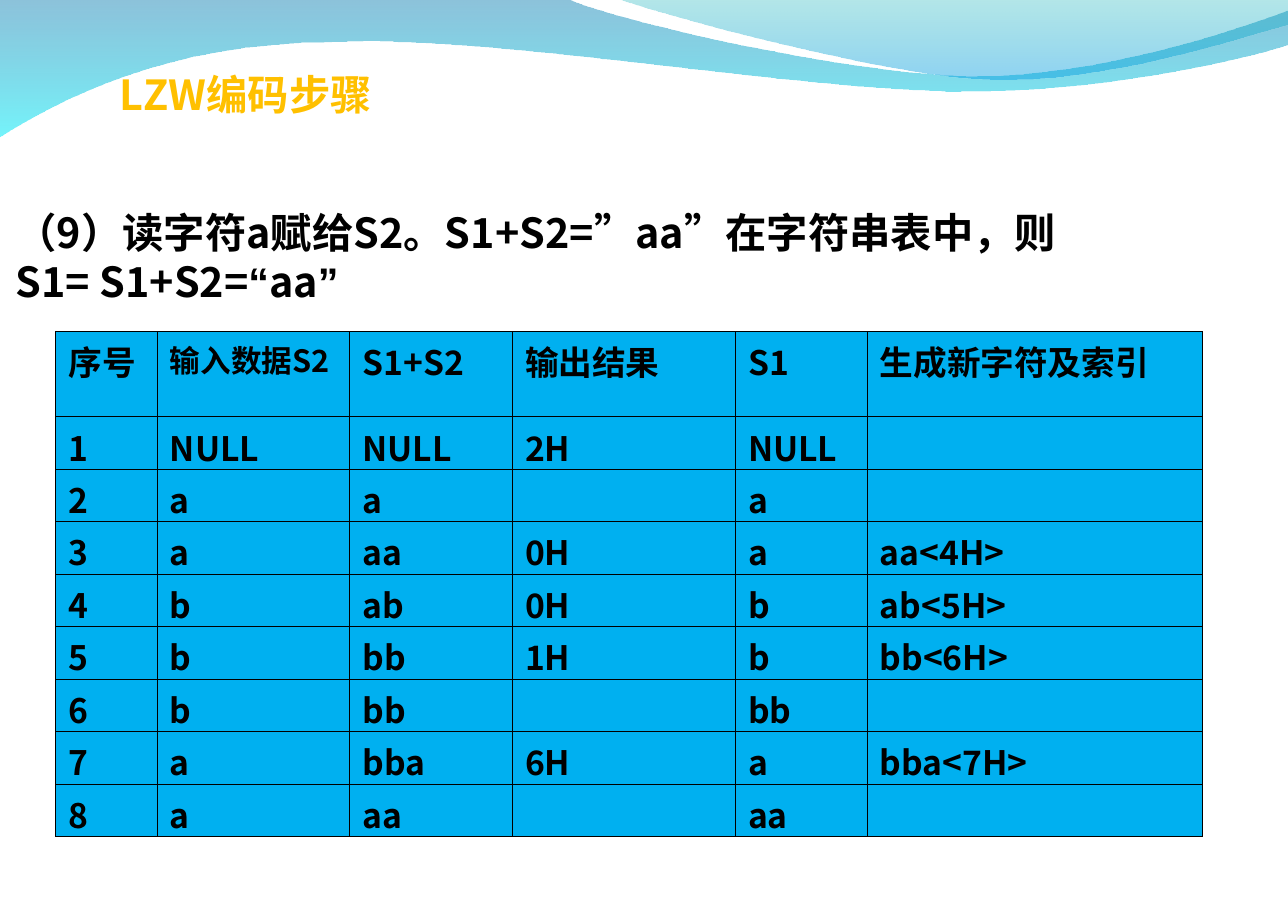
from dataclasses import dataclass

from lxml.etree import Element, SubElement
from pptx import Presentation
from pptx.dml.color import RGBColor
from pptx.enum.text import MSO_ANCHOR
from pptx.oxml.ns import qn
from pptx.util import Cm, Pt

FONT = "Noto Sans CJK SC"
QUOTE_FONT = "Arial"
BLACK = RGBColor(0x00, 0x00, 0x00)
GOLD = RGBColor(0xFF, 0xC0, 0x00)
SKY = RGBColor(0x00, 0xB0, 0xF0)
DEEP_BLUE = RGBColor(0x00, 0x79, 0xAF)
CYAN = RGBColor(0x00, 0xEB, 0xF8)
TEAL = RGBColor(0x00, 0xAD, 0xB6)
AZURE = RGBColor(0x00, 0x9B, 0xE5)

Point = tuple[float, float]


@dataclass(frozen=True)
class Stop:
    color: RGBColor
    opacity: int


@dataclass(frozen=True)
class Wave:
    start: Point
    segments: list[list[Point]]
    top: Stop
    bottom: Stop


@dataclass(frozen=True)
class TextBlock:
    left: float
    top: float
    width: float
    height: float
    anchor: MSO_ANCHOR
    color: RGBColor
    lines: list[list[str]]


WAVES = [
    Wave(
        (0, 0),
        [
            [(13.08, -0.03)],
            [(14.12, 0.46), (19.71, 1.75), (22.53, 1.75)],
            [(25.35, 1.75), (28.47, 0.71), (29.69, 0.25)],
            [(29.74, 1.02)],
            [(29.21, 1.22), (25.83, 2.13), (22.15, 2.11)],
            [(18.47, 2.11), (11.33, 0.79), (7.65, 0.97)],
            [(3.84, 0.99), (1.37, 2.31), (-0.03, 3.18)],
        ],
        Stop(DEEP_BLUE, 45),
        Stop(CYAN, 55),
    ),
    Wave(
        (14.22, -0.03),
        [
            [(15.14, 0.3), (20.27, 1.73), (22.83, 1.83)],
            [(25.43, 1.93), (28.55, 0.89), (29.69, 0.58)],
            [(29.69, 0)],
        ],
        Stop(TEAL, 30),
        Stop(AZURE, 45),
    ),
]

TEXT_BLOCKS = [
    TextBlock(2.48, 0.79, 9.63, 2.11, MSO_ANCHOR.BOTTOM, GOLD, [["LZW编码步骤"]]),
    TextBlock(
        0.08, 4.62, 26.14, 2.59, MSO_ANCHOR.MIDDLE, BLACK,
        [
            ["（9）读字符a赋给S2。S1+S2=", "”", "aa", "”", "在字符串表中，则"],
            ["S1= S1+S2=", "“", "aa", "”"],
        ],
    ),
]

COLUMN_WIDTHS = [2.34, 4.44, 3.75, 5.14, 3.04, 7.73]
HEADER_HEIGHT = 1.96
ROW_HEIGHT = 1.21
ROWS = [
    ["序号", "输入数据S2", "S1+S2", "输出结果", "S1", "生成新字符及索引"],
    ["1", "NULL", "NULL", "2H", "NULL", ""],
    ["2", "a", "a", "", "a", ""],
    ["3", "a", "aa", "0H", "a", "aa<4H>"],
    ["4", "b", "ab", "0H", "b", "ab<5H>"],
    ["5", "b", "bb", "1H", "b", "bb<6H>"],
    ["6", "b", "bb", "", "bb", ""],
    ["7", "a", "bba", "6H", "a", "bba<7H>"],
    ["8", "a", "aa", "", "aa", ""],
]


def bend_segments(shape, segments: list[list[Point]]) -> None:
    lines = iter(list(shape._element.iter(qn("a:lnTo"))))
    for controls in segments:
        pieces = [next(lines) for _ in controls]
        if len(pieces) == 1:
            continue
        curve = Element(qn("a:cubicBezTo"))
        pieces[0].addprevious(curve)
        for piece in pieces:
            curve.append(piece[0])
            piece.getparent().remove(piece)


def draw_wave(page, wave: Wave) -> None:
    points = [wave.start] + [point for controls in wave.segments for point in controls]
    outline = [(Cm(x), Cm(y)) for x, y in points]
    builder = page.shapes.build_freeform(*outline[0])
    builder.add_line_segments(outline[1:], close=True)
    shape = builder.convert_to_shape()
    bend_segments(shape, wave.segments)
    shape.shadow.inherit = False
    shape.line.fill.background()
    shape.fill.gradient()
    shape.fill.gradient_angle = 270
    stops = (wave.top, wave.bottom)
    for gradient_stop, stop in zip(shape.fill.gradient_stops, stops):
        gradient_stop.color.rgb = stop.color
    for color, stop in zip(shape._element.spPr.iter(qn("a:srgbClr")), stops):
        SubElement(color, qn("a:alpha"), val=str(stop.opacity * 1000))


def set_typeface(font, name: str) -> None:
    font.name = name
    SubElement(font._element, qn("a:ea"), typeface=FONT)


def style_font(font, size: float, color: RGBColor) -> None:
    font.size = Pt(size)
    font.bold = True
    font.color.rgb = color


def draw_text(page, block: TextBlock) -> None:
    box = page.shapes.add_textbox(
        Cm(block.left), Cm(block.top), Cm(block.width), Cm(block.height)
    )
    frame = box.text_frame
    frame.word_wrap = True
    frame.vertical_anchor = block.anchor
    frame.margin_left = frame.margin_right = Cm(0.28)
    frame.margin_top = frame.margin_bottom = Cm(0.15)
    for index, line in enumerate(block.lines):
        para = frame.paragraphs[0] if index == 0 else frame.add_paragraph()
        style_font(para.font, 27, block.color)
        for text in line:
            span = para.add_run()
            span.text = text
            set_typeface(span.font, QUOTE_FONT if text in "“”" else FONT)


def add_borders(cell) -> None:
    properties = cell._tc.get_or_add_tcPr()
    for position, side in enumerate(("a:lnL", "a:lnR", "a:lnT", "a:lnB")):
        border = SubElement(properties, qn(side), w=str(Pt(0.45)))
        fill = SubElement(border, qn("a:solidFill"))
        SubElement(fill, qn("a:srgbClr"), val=str(BLACK))
        properties.insert(position, border)


def draw_table(page) -> None:
    height = HEADER_HEIGHT + ROW_HEIGHT * (len(ROWS) - 1)
    table = page.shapes.add_table(
        len(ROWS), len(COLUMN_WIDTHS), Cm(1.28), Cm(7.64), Cm(sum(COLUMN_WIDTHS)), Cm(height)
    ).table
    for column, width in zip(table.columns, COLUMN_WIDTHS):
        column.width = Cm(width)
    for row_index, values in enumerate(ROWS):
        table.rows[row_index].height = Cm(ROW_HEIGHT if row_index else HEADER_HEIGHT)
        for column_index, value in enumerate(values):
            cell = table.cell(row_index, column_index)
            cell.margin_left = cell.margin_right = Cm(0.3)
            cell.margin_top = cell.margin_bottom = Cm(0.13)
            cell.fill.solid()
            cell.fill.fore_color.rgb = SKY
            add_borders(cell)
            para = cell.text_frame.paragraphs[0]
            para.text = value
            style_font(para.font, 20 if (row_index, column_index) == (0, 1) else 22, BLACK)
            set_typeface(para.font, FONT)


def main() -> None:
    deck = Presentation()
    deck.slide_width, deck.slide_height = Cm(29.7), Cm(21)
    page = deck.slides.add_slide(deck.slide_layouts[6])
    for wave in WAVES:
        draw_wave(page, wave)
    for block in TEXT_BLOCKS:
        draw_text(page, block)
    draw_table(page)
    deck.save("out.pptx")


if __name__ == "__main__":
    main()
